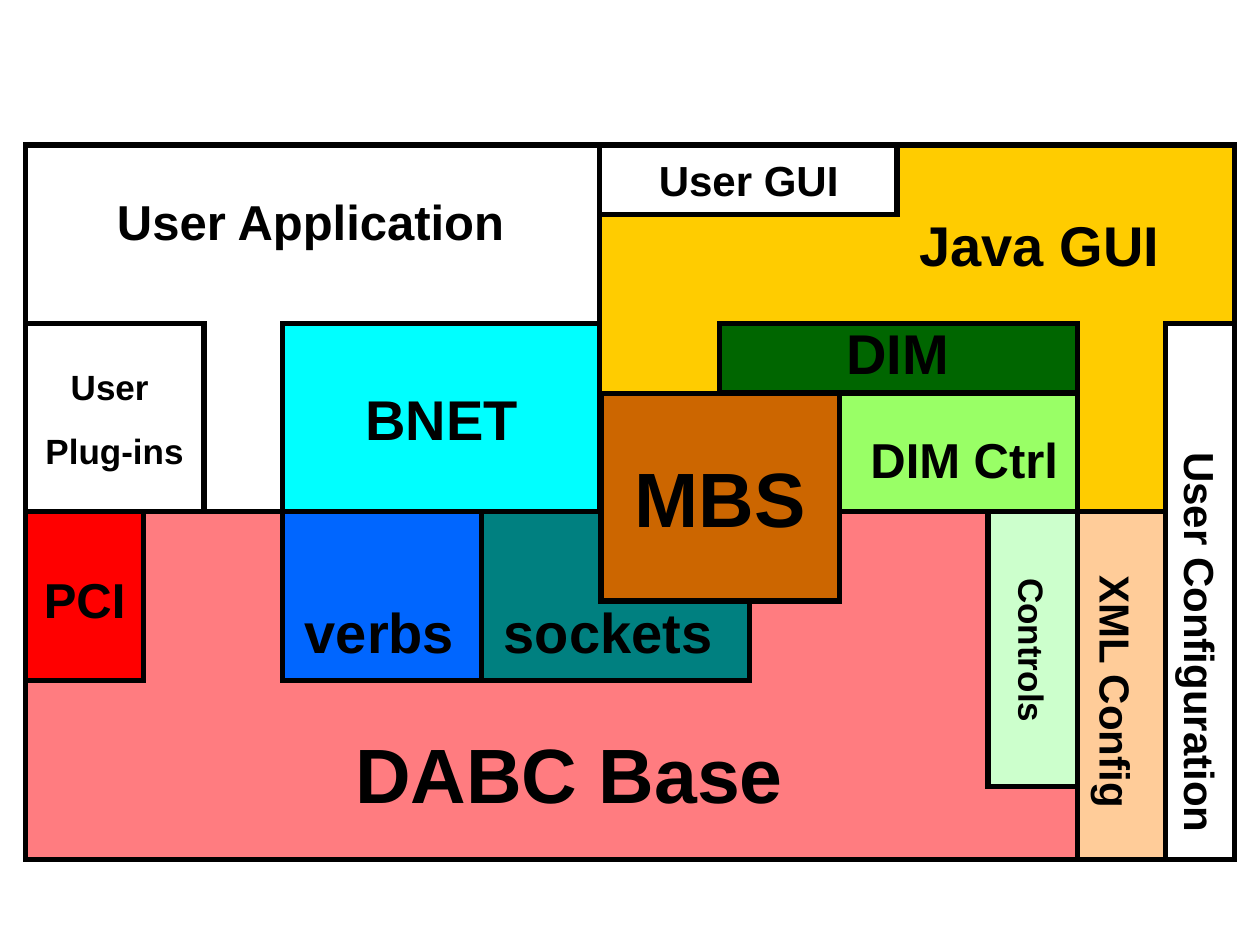
from dataclasses import dataclass

from lxml import etree
from pptx import Presentation
from pptx.dml import color
from pptx.enum import shapes, text
from pptx.oxml import ns
from pptx.util import Inches, Pt

# Shared edges of the diagram
LEFT, RIGHT = 0.2, 9.8
TOP, ROW, CTRL, MID, LOW, BOTTOM = 1.15, 2.57, 3.12, 4.06, 5.4, 6.82
NET, GUI, DIM, XML, CONFIG = 2.24, 4.76, 6.65, 8.55, 9.25
WHITE, BLACK = "FFFFFF", "000000"
BLUE, TEAL, RED, MINT, BROWN = "0066FF", "008080", "FF0000", "CCFFCC", "CC6600"


@dataclass
class Label:
    text: str
    size: float
    at: tuple  # left, top, width, height before turning
    fill: str | None = None
    centred: bool = False
    turn: int = 0


@dataclass
class Block:
    edges: tuple  # left, top, right, bottom as seen
    fill: str | None
    label: Label | None = None  # a block with its own label forms a group


ITEMS = [
    # Backgrounds and framework base
    Block((GUI, TOP, RIGHT, MID), "FFCC00"),
    Block((LEFT, MID, 9.26, BOTTOM), "FF7C80"),
    Label("DABC Base", 44, (2.72, 5.72, 3.6, 0.84)),
    # User application
    Block((LEFT, ROW, 1.62, MID), WHITE,
          Label("User \nPlug-ins", 20, (0.26, 2.85, 1.3, 0.94), centred=True)),
    Label("User Application", 28, (0.83, 1.47, 3.28, 0.57)),
    # Control system
    Block((5.71, ROW, XML, CTRL), "006600", Label("DIM", 32, (6.62, 2.48, 1.01, 0.64))),
    Block((DIM, CTRL, XML, MID), "99FF66", Label("DIM Ctrl", 28, (6.81, 3.36, 1.69, 0.57))),
    Block((LEFT, TOP, GUI, MID), None),
    Block((XML, MID, CONFIG, BOTTOM), "FFCC99",
          Label("XML Config", 24, (7.53, 5.24, 2.66, 0.5), centred=True, turn=90)),
    Label("Java GUI", 32, (7.2, 1.62, 2.1, 0.64)),
    # Network, GUI and transports
    Block((NET, ROW, GUI, MID), "00FFFF", Label("BNET", 32, (2.8, 3, 1.41, 0.64))),
    Block((GUI, TOP, 7.12, 1.7), WHITE, Label("User GUI", 24, (5.13, 1.18, 1.62, 0.5))),
    Block((NET, MID, 3.82, LOW), BLUE),
    Label("verbs", 32, (2.32, 4.69, 1.42, 0.64), BLUE),
    Block((LEFT, MID, 1.14, LOW), RED, Label("PCI", 28, (0.25, 4.47, 0.84, 0.57), RED)),
    Block((3.82, MID, 5.95, LOW), TEAL),
    Label("sockets", 32, (3.9, 4.69, 1.86, 0.64), TEAL),
    # Controls, MBS and user configuration
    Block((7.84, MID, XML, 6.24), MINT,
          Label("Controls", 20, (7.48, 4.94, 1.42, 0.44), MINT, True, 90)),
    Block((4.77, CTRL, 6.66, 4.77), BROWN, Label("MBS", 44, (4.94, 3.53, 1.56, 0.84), BROWN)),
    Block((CONFIG, ROW, RIGHT, BOTTOM), WHITE,
          Label("User Configuration", 24, (7.92, 4.85, 3.22, 0.5), turn=90)),
]


def rgb(value: str) -> color.RGBColor:
    return color.RGBColor.from_string(value)


def set_fill(sp, value: str | None) -> None:
    if value is None:
        sp.fill.background()
    else:
        sp.fill.solid()
        sp.fill.fore_color.rgb = rgb(value)


def draw_label(parent, label: Label) -> None:
    sp = parent.add_textbox(*map(Inches, label.at))
    sp.rotation = label.turn
    set_fill(sp, label.fill)
    # Narrow side margins leave each line room to stay whole
    left, right = (0.05, 0.05) if label.centred else (0.1, 0)
    frame = {"word_wrap": True, "auto_size": text.MSO_AUTO_SIZE.SHAPE_TO_FIT_TEXT,
             "margin_left": Inches(left), "margin_right": Inches(right)}
    font = {"name": "Arial", "size": Pt(label.size), "bold": True}
    tf = sp.text_frame
    for name, value in frame.items():
        setattr(tf, name, value)
    for i, line in enumerate(label.text.split("\n")):
        p = tf.add_paragraph() if i else tf.paragraphs[0]
        p.alignment = text.PP_ALIGN.CENTER if label.centred else text.PP_ALIGN.LEFT
        p.space_before = Pt(label.size * 0.625)
        r = p.add_run()
        r.text = line
        for name, value in font.items():
            setattr(r.font, name, value)
        r.font.color.rgb = rgb(BLACK)


def draw_block(parent, block: Block) -> None:
    left, top, right, bottom = block.edges
    width, height = right - left, bottom - top
    turn = block.label.turn if block.label else 0
    if turn:  # a quarter turn swaps the sides around the same centre
        left, top = left + (width - height) / 2, top + (height - width) / 2
        width, height = height, width
    if block.label:
        parent = parent.add_group_shape().shapes
    sp = parent.add_shape(shapes.MSO_SHAPE.RECTANGLE,
                          *map(Inches, (left, top, width, height)))
    sp.rotation = turn
    sp.shadow.inherit = False
    set_fill(sp, block.fill)
    sp.line.color.rgb = rgb(BLACK)
    sp.line.width = Pt(3)
    line = sp.element.spPr.find(ns.qn("a:ln"))
    etree.SubElement(line, ns.qn("a:miter"), lim="800000")
    if block.label:
        draw_label(parent, block.label)


def main() -> None:
    prs = Presentation()
    prs.slide_width, prs.slide_height = Inches(10), Inches(7.5)
    s = prs.slides.add_slide(prs.slide_layouts[6])
    for item in ITEMS:
        if isinstance(item, Block):
            draw_block(s.shapes, item)
        else:
            draw_label(s.shapes, item)
    prs.save("out.pptx")


if __name__ == "__main__":
    main()
